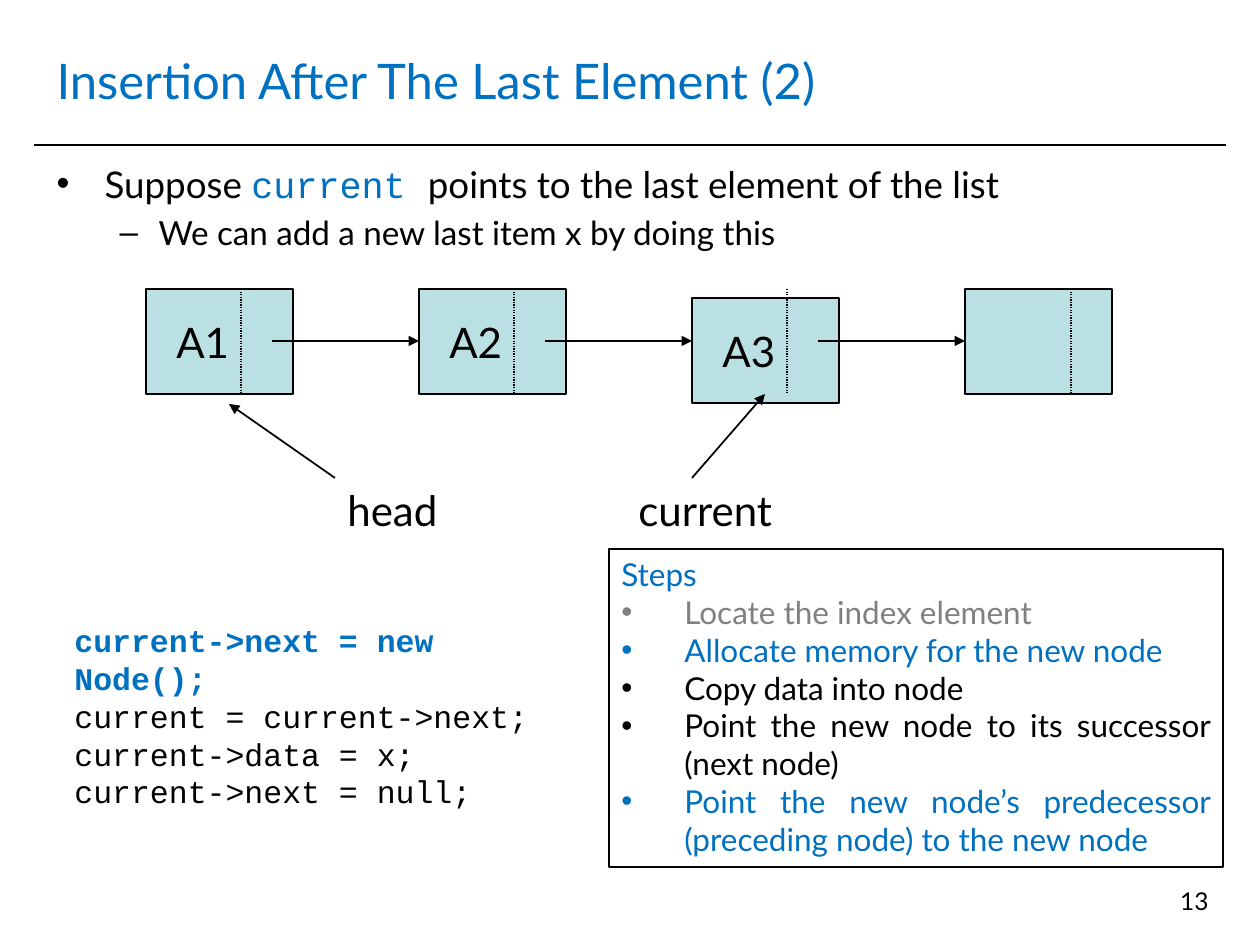
from lxml import etree
from pptx import Presentation
from pptx.dml.color import RGBColor
from pptx.enum.dml import MSO_LINE
from pptx.enum.shapes import MSO_CONNECTOR, MSO_SHAPE
from pptx.enum.text import MSO_ANCHOR, MSO_AUTO_SIZE, PP_ALIGN
from pptx.oxml.ns import qn
from pptx.util import Emu, Pt

SCALE = 914400 // 126
COLORS = {
    "blue": "0070C0",
    "black": "000000",
    "gray": "808080",
    "node": "BBE0E3",
}
SANS = "Lato"
MONO = "Courier New"
STRAIGHT = MSO_CONNECTOR.STRAIGHT
RECTANGLE = MSO_SHAPE.RECTANGLE
DOTTED = MSO_LINE.ROUND_DOT
LEFT, CENTER, RIGHT, JUSTIFY = (
    PP_ALIGN.LEFT, PP_ALIGN.CENTER, PP_ALIGN.RIGHT, PP_ALIGN.JUSTIFY)
TOP, MIDDLE = MSO_ANCHOR.TOP, MSO_ANCHOR.MIDDLE
FIXED = MSO_AUTO_SIZE.NONE

NODE_LEFT, NODE_TOP, NODE_PITCH = 146, 289, 273
NODE_WIDTH, NODE_HEIGHT = 147, 105
ARROW_Y, ARROW_OFFSET = 341, 126
NODES = [("A1", 0, 95), ("A2", 0, 95), ("A3", 9, 95), ("", 0, 106)]
STEPS = [
    ("Locate the index element", "gray"),
    ("Allocate memory for the new node", "blue"),
    ("Copy data into node", "black"),
    ("Point the new node to its successor (next node)", "black"),
    ("Point the new node’s predecessor (preceding node) to the new node", "blue"),
]
CODE = [
    ("current->next = new Node();", "blue", True),
    ("current = current->next;", "black", False),
    ("current->data = x;", "black", False),
    ("current->next = null;", "black", False),
]


def px(value):
    return Emu(value * SCALE)


def color(name):
    return RGBColor.from_string(COLORS[name])


def place(box, left, top, width, height):
    box.left, box.top, box.width, box.height = map(px, (left, top, width, height))


def add_span(para, text, size, shade="black", font=SANS, bold=False):
    span = para.add_run()
    span.text = text
    span.font.size = Pt(size)
    span.font.name = font
    span.font.bold = bold
    span.font.color.rgb = color(shade)


def next_para(frame):
    first = frame.paragraphs[0]
    return frame.add_paragraph() if first.runs else first


def set_bullet(para, mark, margin, indent):
    properties = para._p.get_or_add_pPr()
    properties.set("marL", str(px(margin)))
    properties.set("indent", str(px(-indent)))
    etree.SubElement(properties, qn("a:buFont")).set("typeface", "Arial")
    etree.SubElement(properties, qn("a:buChar")).set("char", mark)


def prepare_frame(box, anchor=TOP, wrap=True):
    frame = box.text_frame
    frame.auto_size = FIXED
    frame.word_wrap = wrap
    frame.vertical_anchor = anchor
    return frame


def add_text(page, bounds, wrap=True):
    box = page.shapes.add_textbox(*map(px, bounds))
    return prepare_frame(box, wrap=wrap)


def add_label(page, bounds, text, size, align=LEFT, wrap=False):
    para = add_text(page, bounds, wrap).paragraphs[0]
    para.alignment = align
    add_span(para, text, size)


def add_rectangle(page, bounds, width, fill=None):
    box = page.shapes.add_shape(RECTANGLE, *map(px, bounds))
    box.shadow.inherit = False
    if fill:
        box.fill.solid()
        box.fill.fore_color.rgb = color(fill)
    else:
        box.fill.background()
    box.line.color.rgb = color("black")
    box.line.width = Pt(width)
    return box


def add_line(page, start, end, width=1, dash=None, arrow=False):
    line = page.shapes.add_connector(STRAIGHT, *map(px, start + end))
    line.line.color.rgb = color("black")
    line.line.width = Pt(width)
    if dash:
        line.line.dash_style = dash
    if arrow:
        outline = line.line._get_or_add_ln()
        etree.SubElement(outline, qn("a:tailEnd")).set("type", "triangle")
    etree.SubElement(line._element.spPr, qn("a:effectLst"))


def fill_title(page):
    title = page.shapes.title
    place(title, 44, 26, 1171, 107)
    para = prepare_frame(title, MIDDLE).paragraphs[0]
    para.alignment = LEFT
    add_span(para, "Insertion After The Last Element (2)", 28, "blue")


def fill_body(page):
    body = page.placeholders[1]
    place(body, 44, 155, 1171, 115)
    frame = prepare_frame(body)
    point = next_para(frame)
    set_bullet(point, "•", 48, 48)
    point.space_before = Pt(0)
    add_span(point, "Suppose ", 21)
    add_span(point, "current ", 21, "blue", MONO)
    add_span(point, "points to the last element of the list", 21)
    detail = next_para(frame)
    detail.level = 1
    set_bullet(detail, "–", 102, 39)
    detail.space_before = Pt(4)
    add_span(detail, "We can add a new last item x by doing this", 19)


def add_code(page):
    frame = add_text(page, (62, 615, 506, 204))
    for text, shade, bold in CODE:
        add_span(next_para(frame), text, 18, shade, MONO, bold)


def add_steps(page):
    box = add_rectangle(page, (609, 549, 614, 318), 1)
    frame = prepare_frame(box)
    heading = next_para(frame)
    heading.alignment = LEFT
    add_span(heading, "Steps", 18, "blue")
    for text, shade in STEPS:
        para = next_para(frame)
        set_bullet(para, "•", 63, 63)
        para.alignment = JUSTIFY
        add_span(para, text, 18, shade)


def add_node(page, left, text, drop, divider):
    bounds = (left, NODE_TOP + drop, NODE_WIDTH, NODE_HEIGHT)
    box = add_rectangle(page, bounds, 0.75, "node")
    if text:
        frame = prepare_frame(box, MIDDLE)
        frame.margin_right = px(46)
        para = frame.paragraphs[0]
        para.alignment = CENTER
        add_span(para, text, 24)
    x = left + divider
    add_line(page, (x, NODE_TOP), (x, NODE_TOP + NODE_HEIGHT), 0.75, DOTTED)


def add_list_diagram(page):
    lefts = [NODE_LEFT + NODE_PITCH * index for index in range(len(NODES))]
    for left, node in zip(lefts, NODES):
        add_node(page, left, *node)
    for left, following in zip(lefts, lefts[1:]):
        add_line(page, (left + ARROW_OFFSET, ARROW_Y), (following, ARROW_Y), arrow=True)
    add_label(page, (335, 478, 117, 63), "head", 24)
    add_label(page, (626, 478, 159, 63), "current", 24)
    add_line(page, (335, 478), (229, 404), arrow=True)
    add_line(page, (692, 478), (765, 394), arrow=True)


def main():
    deck = Presentation()
    deck.slide_width, deck.slide_height = px(1260), px(945)
    page = deck.slides.add_slide(deck.slide_layouts[1])
    add_line(page, (34, 145), (1226, 145))
    fill_title(page)
    fill_body(page)
    add_label(page, (927, 880, 294, 65), "13", 14, RIGHT, True)
    add_code(page)
    add_steps(page)
    add_list_diagram(page)
    deck.save("out.pptx")


if __name__ == "__main__":
    main()
